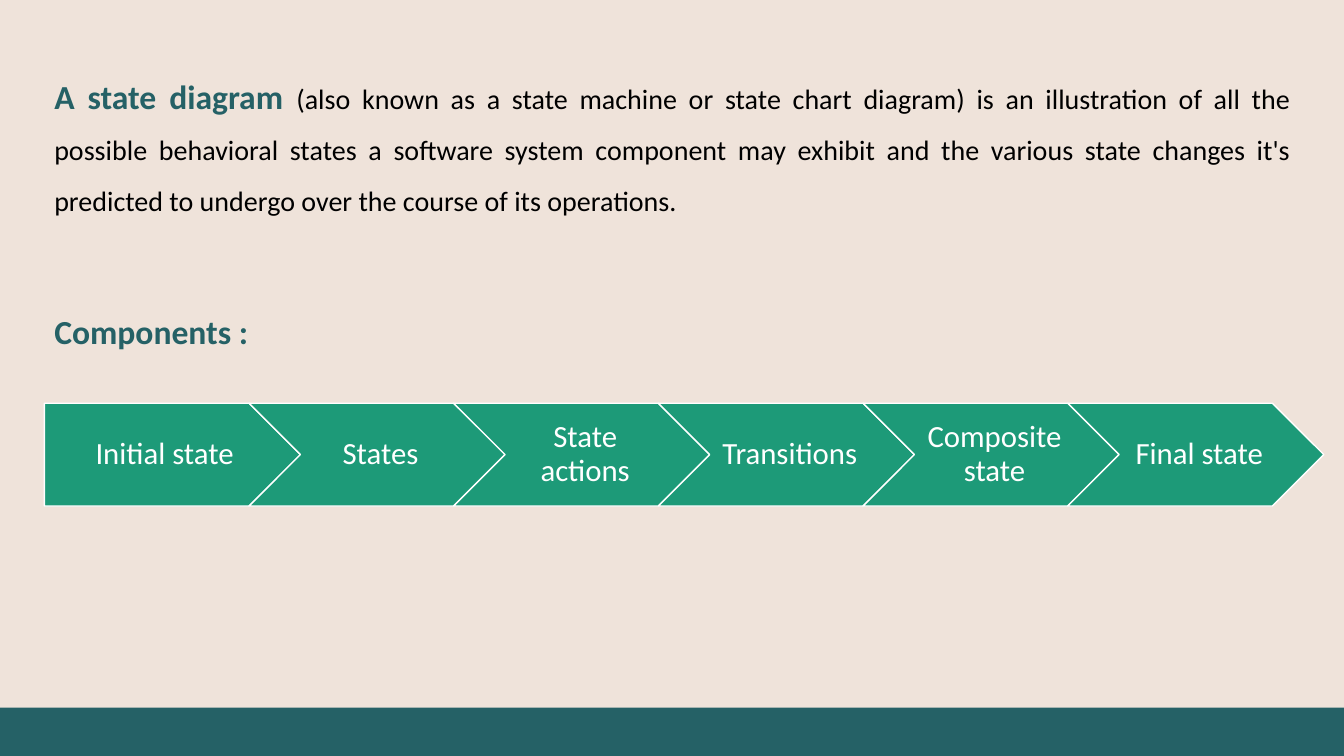
from pptx import Presentation
from pptx.dml.color import RGBColor
from pptx.enum.shapes import MSO_SHAPE
from pptx.enum.text import MSO_ANCHOR, PP_ALIGN
from pptx.util import Pt

PX = 9144  # EMU per px, 100 px to the inch
PAGE_WIDTH, PAGE_HEIGHT = 1333, 750

SAND = RGBColor(0xEF, 0xE3, 0xDA)
TEAL = RGBColor(0x25, 0x61, 0x66)
GREEN = RGBColor(0x1D, 0x9A, 0x78)
WHITE = RGBColor(0xFF, 0xFF, 0xFF)
BLACK = RGBColor(0x00, 0x00, 0x00)

RECTANGLE = MSO_SHAPE.RECTANGLE
PENTAGON = MSO_SHAPE.PENTAGON
CHEVRON = MSO_SHAPE.CHEVRON
CENTER, JUSTIFY = PP_ALIGN.CENTER, PP_ALIGN.JUSTIFY
MIDDLE = MSO_ANCHOR.MIDDLE

TERM = "A state diagram "
DEFINITION = (
    "(also known as a state machine or state chart diagram) is an illustration "
    "of all the possible behavioral states a software system component may "
    "exhibit and the various state changes it's predicted to undergo over the "
    "course of its operations."
)
COMPONENTS = ["Initial state", "States", "State actions", "Transitions",
              "Composite state", "Final state"]


class SlideBuilder:
    font_name = "Calibri"

    def __init__(self, page):
        self.page = page

    def background(self, color):
        fill = self.page.background.fill
        fill.solid()
        fill.fore_color.rgb = color

    def style(self, font, size, color, bold=False):
        font.name = self.font_name
        font.size = Pt(size)
        font.color.rgb = color
        font.bold = bold

    def shape(self, kind, left, top, width, height, color, outline=None):
        box = self.page.shapes.add_shape(
            kind, left * PX, top * PX, width * PX, height * PX)
        box.shadow.inherit = False
        box.fill.solid()
        box.fill.fore_color.rgb = color
        if outline is None:
            box.line.fill.background()
        else:
            box.line.color.rgb = outline
            box.line.width = Pt(1)
        return box

    def step(self, kind, left, top, width, height, label, inset):
        box = self.shape(kind, left, top, width, height, GREEN, WHITE)
        frame = box.text_frame
        frame.word_wrap = True
        frame.vertical_anchor = MIDDLE
        frame.margin_left, frame.margin_right = inset * PX, 3 * PX
        frame.margin_top = frame.margin_bottom = 6 * PX
        para = frame.paragraphs[0]
        para.text = label
        para.alignment = CENTER
        para.line_spacing = 0.9
        self.style(para.font, 22, WHITE)

    def text(self, left, top, width, height, spans, spacing=1.0):
        """Each span is (words, size, color, bold)."""
        box = self.page.shapes.add_textbox(
            left * PX, top * PX, width * PX, height * PX)
        box.text_frame.word_wrap = True
        para = box.text_frame.paragraphs[0]
        para.alignment = JUSTIFY
        para.line_spacing = spacing
        for words, *look in spans:
            span = para.add_run()
            span.text = words
            self.style(span.font, *look)


def main():
    deck = Presentation()
    deck.slide_width, deck.slide_height = PAGE_WIDTH * PX, PAGE_HEIGHT * PX
    builder = SlideBuilder(deck.slides.add_slide(deck.slide_layouts[6]))
    builder.background(SAND)

    # Footer band
    footer_top = 702
    builder.shape(RECTANGLE, 0, footer_top, PAGE_WIDTH,
                  PAGE_HEIGHT - footer_top, TEAL)

    # Definition and heading
    left = 44
    builder.text(left, 50, 1246, 166,
                 [(TERM, 24, TEAL, True), (DEFINITION, 20, BLACK, False)], 1.5)
    builder.text(left, 304, 667, 50, [("Components :", 24, TEAL, True)])

    # Chain of components: a pentagon, then chevrons
    pitch = 203
    for index, label in enumerate(COMPONENTS):
        kind, inset = (CHEVRON, 10) if index else (PENTAGON, 13)
        builder.step(kind, left + index * pitch, 400, 254, 102, label, inset)

    deck.save("out.pptx")


if __name__ == "__main__":
    main()
